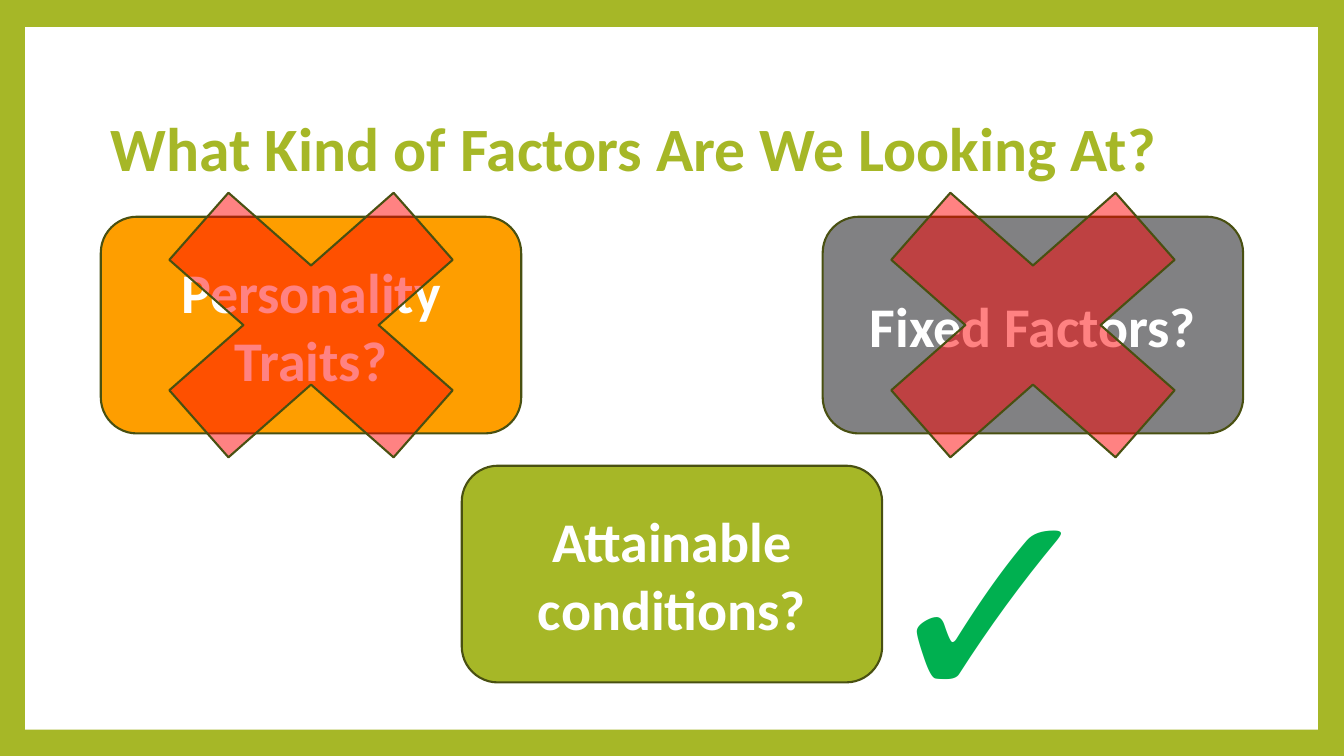
from pptx import Presentation
from pptx import util as u
from pptx.dml.color import RGBColor
from pptx.enum import shapes, text
from pptx.oxml.ns import qn
from lxml import etree

COLORS = {
    "green": "A6B727", "white": "FFFFFF", "orange": "FE9E00", "gray": "818183",
    "outline": "495011", "red": "FF0000", "check": "00B050",
}
FONT = "Calibri"
WIDTH, HEIGHT = 13.33, 7.5

deck = Presentation()
deck.slide_width, deck.slide_height = u.Inches(WIDTH), u.Inches(HEIGHT)
slide = deck.slides.add_slide(deck.slide_layouts[5])
slide.background.fill.solid()
slide.background.fill.fore_color.rgb = RGBColor.from_string(COLORS["green"])


def add_filled(kind, box, fill, outline=None):
    part = slide.shapes.add_shape(kind, *map(u.Inches, box))
    part.shadow.inherit = False
    part.fill.solid()
    part.fill.fore_color.rgb = RGBColor.from_string(COLORS[fill])
    if outline:
        part.line.color.rgb = RGBColor.from_string(COLORS[outline])
        part.line.width = u.Pt(1.5)
    else:
        part.line.fill.background()
    return part


def write(frame, words, size, color, align, bold=True):
    paragraph = frame.paragraphs[0]
    paragraph.alignment = align
    run = paragraph.add_run()
    run.text = words
    run.font.name, run.font.size, run.font.bold = FONT, u.Pt(size), bold
    run.font.color.rgb = RGBColor.from_string(COLORS[color])
    return paragraph


panel = add_filled(shapes.MSO_SHAPE.RECTANGLE, (0.25, 0.27, 12.82, 6.97), "white")
slide.shapes._spTree.insert(2, panel._element)

heading = slide.shapes.title
heading.left, heading.top = u.Inches(1), u.Inches(0.76)
heading.width, heading.height = u.Inches(11.05), u.Inches(1.48)
heading.text_frame.vertical_anchor = text.MSO_ANCHOR.MIDDLE
heading.text_frame.auto_size = text.MSO_AUTO_SIZE.NONE
question = write(heading.text_frame, "What Kind of Factors Are We Looking At?",
                 44, "green", text.PP_ALIGN.LEFT)
question.line_spacing = 0.9

CARD_W, CARD_H = 4.17, 2.15
CROSS_W, CROSS_H = 4.28, 3.77
MARGIN, UPPER, LOWER = 1, 2.15, 4.62
factors = [
    ("Personality Traits?", MARGIN, UPPER, "orange", True),
    ("Fixed Factors?", WIDTH - MARGIN - CARD_W, UPPER, "gray", True),
    ("Attainable conditions?", (WIDTH - CARD_W) / 2, LOWER, "green", False),
]
for words, left, top, fill, rejected in factors:
    card = add_filled(shapes.MSO_SHAPE.ROUNDED_RECTANGLE,
                      (left, top, CARD_W, CARD_H), fill, "outline")
    card.text_frame.word_wrap = True
    card.text_frame.vertical_anchor = text.MSO_ANCHOR.MIDDLE
    write(card.text_frame, words, 40, "white", text.PP_ALIGN.CENTER)
    if rejected:
        cross_box = (left + (CARD_W - CROSS_W) / 2, top + (CARD_H - CROSS_H) / 2,
                     CROSS_W, CROSS_H)
        cross = add_filled(shapes.MSO_SHAPE.MATH_MULTIPLY, cross_box, "red", "outline")
        tint = cross._element.spPr.find(qn("a:solidFill")).find(qn("a:srgbClr"))
        etree.SubElement(tint, qn("a:alpha")).set("val", "49000")

approval = slide.shapes.add_textbox(*map(u.Inches, (8.59, 4.2, 1.66, 3.45)))
approval.text_frame.word_wrap = False
approval.text_frame.auto_size = text.MSO_AUTO_SIZE.SHAPE_TO_FIT_TEXT
write(approval.text_frame, "✓", 199, "check", text.PP_ALIGN.LEFT, False)

deck.save("out.pptx")
